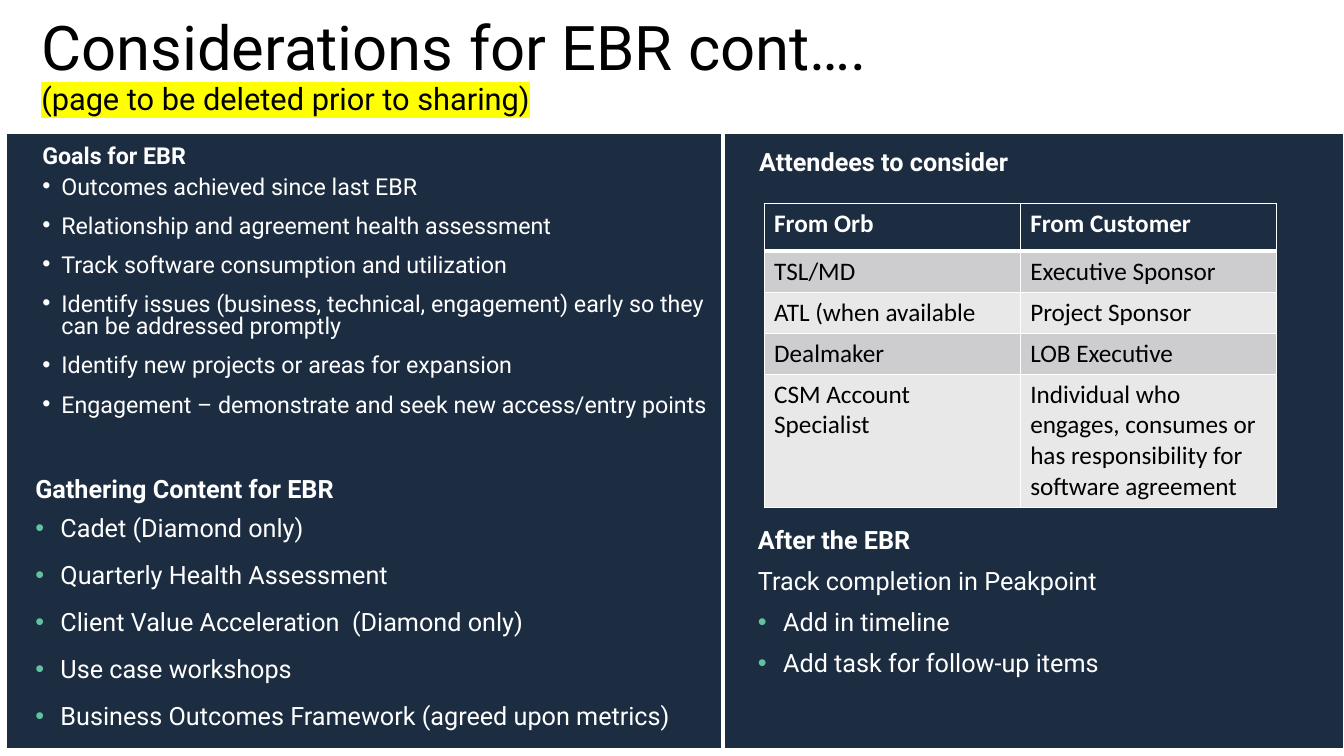
import pptx
import pptx.util
import pptx.dml.color
import pptx.enum.shapes
import pptx.enum.text
import pptx.oxml.ns
import lxml.etree

Pt = pptx.util.Pt
qn = pptx.oxml.ns.qn
NAVY, WHITE, BLACK, GREEN = "1C2C41", "FFFFFF", "000000", "61C29F"


def hue(text):
    return pptx.dml.color.RGBColor.from_string(text)


def add_tint(parent, tag, tint):
    node = lxml.etree.SubElement(parent, qn(tag))
    lxml.etree.SubElement(node, qn("a:srgbClr"), val=tint)
    return node


deck = pptx.Presentation()
deck.slide_width, deck.slide_height = Pt(960), Pt(540)
slide = deck.slides.add_slide(deck.slide_layouts[4])
shapes = slide.shapes

# Title with a marked note below it
title = shapes.title
title.left, title.top, title.width, title.height = Pt(22.3), Pt(5.8), Pt(787.7), Pt(84.2)
frame = title.text_frame
frame.auto_size = pptx.enum.text.MSO_AUTO_SIZE.NONE
frame.vertical_anchor = pptx.enum.text.MSO_ANCHOR.MIDDLE
line = frame.paragraphs[0]
line.alignment = pptx.enum.text.PP_ALIGN.LEFT
line.line_spacing = 0.9
line.font.name = "Roboto"
line.font.color.rgb = hue(BLACK)
head = line.add_run()
head.text = "Considerations for EBR cont…."
head.font.size = Pt(44)
line.add_line_break()
note = line.add_run()
note.text = "(page to be deleted prior to sharing)"
note.font.size = Pt(22)
add_tint(note.font._element, "a:highlight", "FFFF00")

# Dark panels behind the text
for left, width in [(4.3, 511.2), (517.7, 442.1)]:
    panel = shapes.add_shape(pptx.enum.shapes.MSO_SHAPE.RECTANGLE,
                             Pt(left), Pt(95), Pt(width), Pt(440))
    panel.shadow.inherit = False
    panel.fill.solid()
    panel.fill.fore_color.rgb = hue(NAVY)
    panel.line.color.rgb = hue(WHITE)
    panel.line.width = Pt(1)
    title.element.addprevious(panel.element)

# Text blocks: slot, place, size, indent, bullet tint,
# spacing of head and list, gaps before and after, plain lines, bullets
blocks = [
    (1, (23, 103, 501, 227), 16.6, 13.7, WHITE, 0.7, 0.8, 6, 6,
     ["Goals for EBR"],
     ["Outcomes achieved since last EBR",
      "Relationship and agreement health assessment",
      "Track software consumption and utilization",
      "Identify issues (business, technical, engagement) early so they can be addressed promptly",
      "Identify new projects or areas for expansion",
      "Engagement – demonstrate and seek new access/entry points"]),
    (2, (18, 337, 501, 200), 18, 18, GREEN, 0.9, 1.0, 6, 6,
     ["Gathering Content for EBR"],
     ["Cadet (Diamond only)",
      "Quarterly Health Assessment",
      "Client Value Acceleration  (Diamond only)",
      "Use case workshops",
      "Business Outcomes Framework (agreed upon metrics)"]),
    (3, (535, 103, 408, 40), 18, 18, GREEN, 0.9, 0.9, 10, 0,
     ["Attendees to consider"], []),
    (4, (534.2, 373, 408, 150), 18, 18, GREEN, 0.9, 0.9, 10, 0,
     ["After the EBR", "Track completion in Peakpoint"],
     ["Add in timeline", "Add task for follow-up items"]),
]
for slot, place, size, indent, tint, tight, loose, above, below, plain, points in blocks:
    box = slide.placeholders[slot]
    box.left, box.top, box.width, box.height = map(Pt, place)
    frame = box.text_frame
    frame.auto_size = pptx.enum.text.MSO_AUTO_SIZE.NONE
    frame.vertical_anchor = pptx.enum.text.MSO_ANCHOR.TOP
    for i, text in enumerate(plain + points):
        line = frame.add_paragraph() if i else frame.paragraphs[0]
        line.text = text
        props = line._p.get_or_add_pPr()
        listed = i >= len(plain)
        shift = Pt(indent) if listed else 0
        props.set("marL", str(shift))
        props.set("indent", str(-shift))
        if listed:
            add_tint(props, "a:buClr", tint)
            lxml.etree.SubElement(props, qn("a:buChar"), char="•")
        else:
            lxml.etree.SubElement(props, qn("a:buNone"))
        line.line_spacing = loose if listed else tight
        line.space_before = Pt(above if i else 0)
        line.space_after = Pt(below if listed else 0)
        line.font.name = "Roboto"
        line.font.size = Pt(size)
        line.font.bold = i == 0
        line.font.color.rgb = hue(WHITE)

# Table of guests
rows = [
    ("From Orb", "From Customer"),
    ("TSL/MD", "Executive Sponsor"),
    ("ATL (when available", "Project Sponsor"),
    ("Dealmaker", "LOB Executive"),
    ("CSM Account Specialist",
     "Individual who engages, consumes or has responsibility for software agreement"),
]
heights = [34, 29.3, 29.3, 29.3, 95.2]
table = shapes.add_table(len(rows), 2, Pt(545.8), Pt(145.4),
                         Pt(365.8), Pt(sum(heights))).table
for col in table.columns:
    col.width = Pt(182.9)
for r, (texts, height) in enumerate(zip(rows, heights)):
    table.rows[r].height = Pt(height)
    for c, text in enumerate(texts):
        cell = table.cell(r, c)
        cell.text = text
        props = cell._tc.get_or_add_tcPr()
        for side in "LRTB":
            thick = (r, side) in [(0, "B"), (1, "T")]
            edge = lxml.etree.SubElement(props, qn("a:ln" + side),
                                         w=str(Pt(3 if thick else 1)))
            add_tint(edge, "a:solidFill", WHITE)
        cell.fill.solid()
        cell.fill.fore_color.rgb = hue(NAVY if r == 0 else "CDCDCF" if r % 2 else "E8E8E9")
        font = cell.text_frame.paragraphs[0].font
        font.name = "Calibri"
        font.size = Pt(18)
        font.bold = r == 0
        font.color.rgb = hue(BLACK if r else WHITE)

deck.save("out.pptx")
